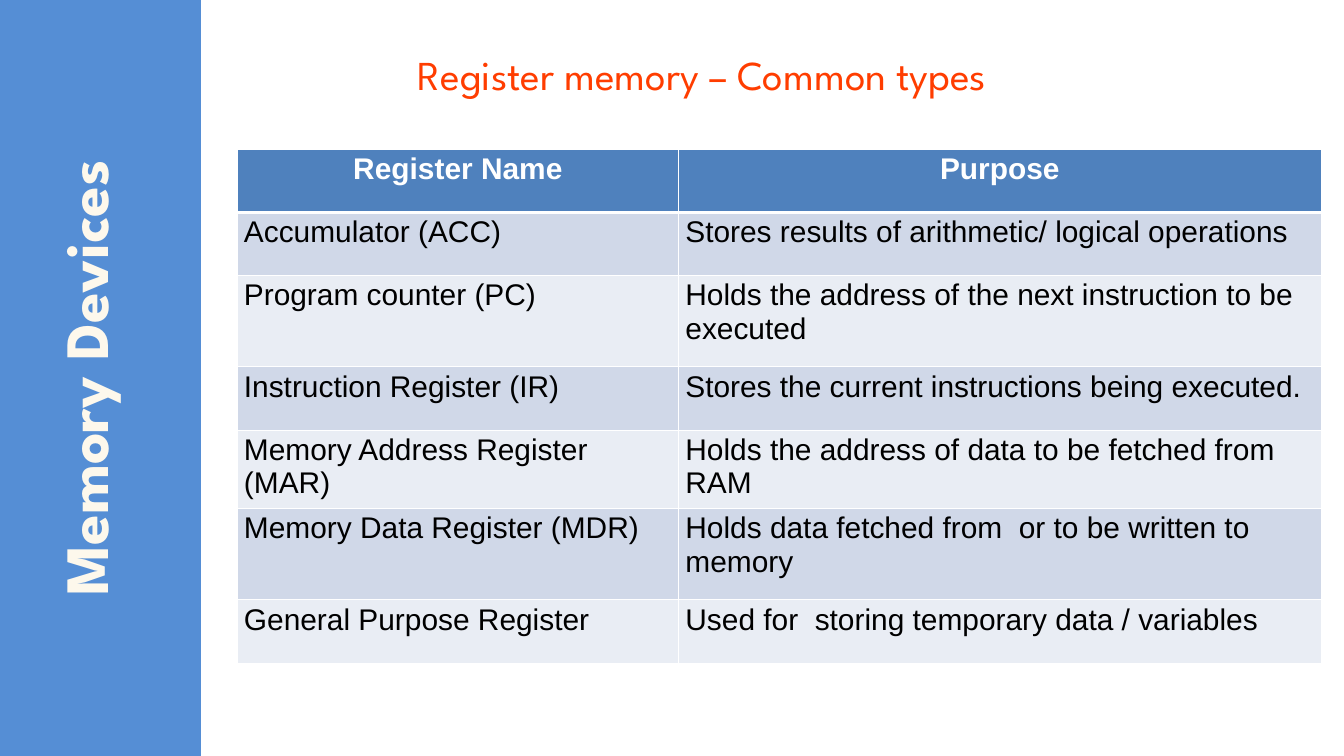
from lxml import etree
from pptx import Presentation
from pptx import util as u
from pptx.dml.color import RGBColor
from pptx.enum import shapes, text
from pptx.oxml.ns import qn

SIDEBAR = "Memory Devices"
TITLE = "Register memory – Common types"
ROWS = [
    ("Register Name", "Purpose"),
    ("Accumulator (ACC)", "Stores results of arithmetic/ logical operations"),
    ("Program counter (PC)", "Holds the address of the next instruction to be executed"),
    ("Instruction Register (IR)", "Stores the current instructions being executed."),
    ("Memory Address Register (MAR)", "Holds the address of data to be fetched from RAM"),
    ("Memory Data Register (MDR)", "Holds data fetched from  or to be written to memory"),
    ("General Purpose Register", "Used for  storing temporary data / variables"),
]
COLORS = {
    "sidebar": "558ED5", "sidebar_text": "FDF8EC", "title": "FF3D00",
    "header": "4F81BD", "bands": ("D0D8E8", "E9EDF4"),
    "line": "FFFFFF", "header_text": "FFFFFF", "body_text": "000000",
}
W, H = 20, 11.25
SIDEBAR_W = 2.99
TABLE_LEFT, TABLE_TOP = 3.53, 2.22
COL_W = (6.57, 9.56)
ROW_H, TALL_ROW_H = 0.94, 1.36
TALL_ROWS = (2, 5)


def write(tf, words, color, align, **font):
    p = tf.paragraphs[0]
    p.alignment = align
    r = p.add_run()
    r.text = words
    r.font.color.rgb = RGBColor.from_string(color)
    for name, value in font.items():
        setattr(r.font, name, value)


def add_label(s, words, box, color, rotation=0, **font):
    sp = s.shapes.add_textbox(*map(u.Inches, box))
    sp.rotation = rotation
    tf = sp.text_frame
    tf.word_wrap = True
    for side in ("left", "top", "right", "bottom"):
        setattr(tf, f"margin_{side}", 0)
    write(tf, words, color, text.PP_ALIGN.CENTER, name="League Spartan", **font)


def set_borders(cell, widths):
    """Draw cell borders; widths are points for left, right, top, bottom."""
    tcPr = cell._tc.get_or_add_tcPr()
    for i, (side, width) in enumerate(zip("LRTB", widths)):
        ln = etree.Element(qn(f"a:ln{side}"), w=str(u.Pt(width)))
        fill = etree.SubElement(ln, qn("a:solidFill"))
        etree.SubElement(fill, qn("a:srgbClr"), val=COLORS["line"])
        tcPr.insert(i, ln)


def add_register_table(s):
    heights = [TALL_ROW_H if i in TALL_ROWS else ROW_H for i in range(len(ROWS))]
    box = (TABLE_LEFT, TABLE_TOP, sum(COL_W), sum(heights))
    table = s.shapes.add_table(len(ROWS), len(COL_W), *map(u.Inches, box)).table
    for column, width in zip(table.columns, COL_W):
        column.width = u.Inches(width)
    for i, (words, height) in enumerate(zip(ROWS, heights)):
        table.rows[i].height = u.Inches(height)
        header = i == 0
        fill = COLORS["header"] if header else COLORS["bands"][(i - 1) % 2]
        color = COLORS["header_text" if header else "body_text"]
        align = text.PP_ALIGN.CENTER if header else text.PP_ALIGN.LEFT
        for j, word in enumerate(words):
            cell = table.cell(i, j)
            cell.fill.solid()
            cell.fill.fore_color.rgb = RGBColor.from_string(fill)
            set_borders(cell, (1, 1, 3 if i == 1 else 1, 3 if header else 1))
            write(cell.text_frame, word, color, align,
                  name="Arial", size=u.Pt(32), bold=header)


def main():
    prs = Presentation()
    prs.slide_width, prs.slide_height = u.Inches(W), u.Inches(H)
    s = prs.slides.add_slide(prs.slide_layouts[6])

    bar = s.shapes.add_shape(shapes.MSO_SHAPE.RECTANGLE, 0, 0,
                             u.Inches(SIDEBAR_W), u.Inches(H))
    bar.shadow.inherit = False
    bar.fill.solid()
    bar.fill.fore_color.rgb = RGBColor.from_string(COLORS["sidebar"])
    bar.line.fill.background()

    add_label(s, SIDEBAR, (-4.37, 5.07, H, 1.11), COLORS["sidebar_text"],
              rotation=270, size=u.Pt(66), bold=True)
    add_label(s, TITLE, (4.11, 0.74, 12.69, 0.74), COLORS["title"], size=u.Pt(44))
    add_register_table(s)
    prs.save("out.pptx")


if __name__ == "__main__":
    main()
